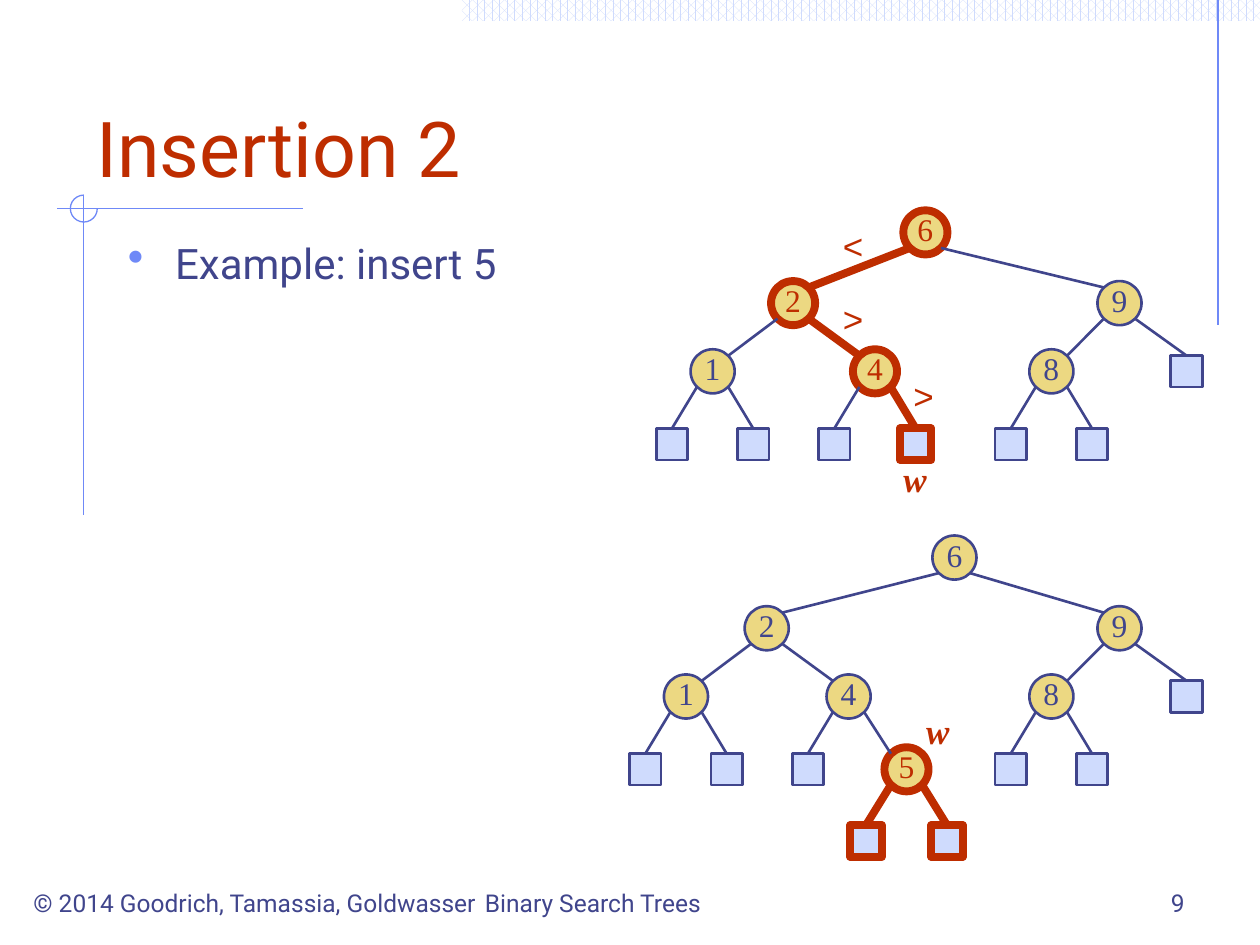
from math import sqrt

from lxml.etree import SubElement
from pptx import Presentation
from pptx.dml.color import RGBColor
from pptx.enum.dml import MSO_PATTERN
from pptx.enum.shapes import MSO_CONNECTOR, MSO_SHAPE
from pptx.enum.text import MSO_ANCHOR, PP_ALIGN
from pptx.oxml.ns import qn
from pptx.util import Pt

WHITE = RGBColor(0xFF, 0xFF, 0xFF)
PALE_BLUE = RGBColor(0xCF, 0xDB, 0xFD)
BLUE = RGBColor(0x6F, 0x89, 0xF7)
NAVY = RGBColor(0x40, 0x45, 0x8C)
RED = RGBColor(0xBE, 0x2D, 0x00)
GOLD = RGBColor(0xEC, 0xD8, 0x82)

deck = Presentation()
deck.slide_width, deck.slide_height = Pt(720), Pt(540)
page = deck.slides.add_slide(deck.slide_layouts[5])


def write(shape, text, color, formats, align=PP_ALIGN.LEFT, anchor=MSO_ANCHOR.TOP, wrap=True):
    frame = shape.text_frame
    frame.word_wrap = wrap
    frame.vertical_anchor = anchor
    para = frame.paragraphs[0]
    para.alignment = align
    span = para.add_run()
    span.text = text
    for name, value in formats.items():
        setattr(span.font, name, value)
    span.font.color.rgb = color
    return para


def draw_line(start, end, color, width):
    line = page.shapes.add_connector(MSO_CONNECTOR.STRAIGHT, *map(Pt, start + end))
    line.line.color.rgb = color
    line.line.width = Pt(width)
    SubElement(line._element.spPr, qn("a:effectLst"))
    return line


band = page.shapes.add_shape(MSO_SHAPE.RECTANGLE, Pt(264), Pt(0), Pt(456), Pt(12))
band.shadow.inherit = False
band.fill.patterned()
band.fill.pattern = MSO_PATTERN.PERCENT_60
band.fill.fore_color.rgb = PALE_BLUE
band.fill.back_color.rgb = WHITE
band.line.fill.background()

for start, end in [
    ((696, 0), (696, 186)),
    ((173, 119.25), (32.5, 119.25)),
    ((47.9, 111.5), (47.9, 294.5)),
]:
    draw_line(start, end, BLUE, 0.75)

arc = page.shapes.add_shape(MSO_SHAPE.ARC, Pt(40.2), Pt(111.5), Pt(15.4), Pt(15.4))
arc.adjustments[0], arc.adjustments[1] = 0, 162
arc.shadow.inherit = False
arc.fill.background()
arc.line.color.rgb = BLUE
arc.line.width = Pt(0.75)

title = page.shapes.title
title.left, title.top, title.width, title.height = Pt(48), Pt(24), Pt(630), Pt(90)
write(title, "Insertion 2", RED, {"name": "Roboto", "size": Pt(44)}, anchor=MSO_ANCHOR.BOTTOM)

body = page.shapes.add_textbox(Pt(66), Pt(132), Pt(288), Pt(342))
para = write(body, "Example: insert 5", NAVY, {"name": "Roboto", "size": Pt(24)})
para.space_before = Pt(4.8)
properties = para._p.get_or_add_pPr()
properties.set("marL", str(Pt(27)))
properties.set("indent", str(Pt(-27)))
bullet_color = SubElement(properties, qn("a:buClr"))
SubElement(bullet_color, qn("a:srgbClr"), val=str(BLUE))
SubElement(properties, qn("a:buSzPct"), val="110000")
SubElement(properties, qn("a:buChar"), char="•")

LEVELS = [132.8, 173.2, 212.2, 253.8, 294.8]
RADIUS, HALF_SIDE, SPREAD, WIDE_SPREAD = 12.6, 9, 23.2, 38.3
DIAGONAL = RADIUS / sqrt(2)

# each node: key, x, level, parent, highlighted; each leaf: parent, offset, highlighted
trees = [
    (
        0,
        [
            ("6", 528.8, 0, None, True),
            ("2", 453.2, 1, "6", True),
            ("9", 639.7, 1, "6", False),
            ("1", 407.2, 2, "2", False),
            ("4", 500, 2, "2", True),
            ("8", 600.8, 2, "9", False),
        ],
        [
            ("1", -SPREAD, False), ("1", SPREAD, False),
            ("4", -SPREAD, False), ("4", SPREAD, True),
            ("8", -SPREAD, False), ("8", SPREAD, False),
            ("9", WIDE_SPREAD, False),
        ],
    ),
    (
        185.8,
        [
            ("6", 545.4, 0, None, False),
            ("2", 438.1, 1, "6", False),
            ("9", 639.7, 1, "6", False),
            ("1", 392, 2, "2", False),
            ("4", 484.9, 2, "2", False),
            ("8", 600.8, 2, "9", False),
            ("5", 518, 3, "4", True),
        ],
        [
            ("1", -SPREAD, False), ("1", SPREAD, False),
            ("4", -SPREAD, False),
            ("5", -SPREAD, True), ("5", SPREAD, True),
            ("8", -SPREAD, False), ("8", SPREAD, False),
            ("9", WIDE_SPREAD, False),
        ],
    ),
]

for drop, nodes, leaves in trees:
    placed = {key: (x, level, hot) for key, x, level, parent, hot in nodes}
    items = nodes + [
        ("", placed[parent][0] + offset, placed[parent][1] + 1, parent, hot)
        for parent, offset, hot in leaves
    ]
    for key, x, level, parent, hot in items:
        y = LEVELS[level] + drop
        half = RADIUS if key else HALF_SIDE
        kind = MSO_SHAPE.OVAL if key else MSO_SHAPE.RECTANGLE
        node = page.shapes.add_shape(kind, Pt(x - half), Pt(y - half), Pt(2 * half), Pt(2 * half))
        node.shadow.inherit = False
        node.fill.solid()
        node.fill.fore_color.rgb = GOLD if key else PALE_BLUE
        color, width = (RED, 4.5) if hot else (NAVY, 1.5)
        node.line.color.rgb = color
        node.line.width = Pt(width)
        if key:
            frame = node.text_frame
            for side, margin in {"left": 0, "top": 0, "right": 0, "bottom": 3.6}.items():
                setattr(frame, f"margin_{side}", Pt(margin))
            write(node, key, color, {"name": "Times New Roman", "size": Pt(18)},
                  PP_ALIGN.CENTER, MSO_ANCHOR.MIDDLE, False)
        if parent:
            parent_x, parent_level, parent_hot = placed[parent]
            side = 1 if x > parent_x else -1
            start = (parent_x + side * DIAGONAL, LEVELS[parent_level] + drop + DIAGONAL)
            end = (x - side * DIAGONAL, y - DIAGONAL) if key else (x, y - half)
            color, width = (RED, 4.5) if hot and parent_hot else (NAVY, 1.5)
            edge = draw_line(start, end, color, width)
            if not key:
                edge.end_connect(node, 0)

sign_font = {"name": "Arial", "size": Pt(20)}
mark_font = {"name": "Times New Roman", "size": Pt(20), "bold": True, "italic": True}
for text, x, y, width, formats in [
    ("<", 474.5, 124.6, 25.2, sign_font),
    (">", 474.5, 166.3, 25.2, sign_font),
    (">", 514.8, 210.2, 25.2, sign_font),
    ("w", 509, 257.8, 28, mark_font),
    ("w", 522, 401.8, 28, mark_font),
]:
    label = page.shapes.add_textbox(Pt(x), Pt(y), Pt(width), Pt(31))
    write(label, text, RED, formats, PP_ALIGN.CENTER, wrap=False)

for text, x, width, align in [
    ("© 2014 Goodrich, Tamassia, Goldwasser", 12, 270, PP_ALIGN.LEFT),
    ("Binary Search Trees", 270, 228, PP_ALIGN.LEFT),
    ("9", 516, 168, PP_ALIGN.RIGHT),
]:
    footer = page.shapes.add_textbox(Pt(x), Pt(492), Pt(width), Pt(36))
    write(footer, text, NAVY, {"name": "Roboto", "size": Pt(14)}, align, MSO_ANCHOR.BOTTOM)

deck.save("out.pptx")
